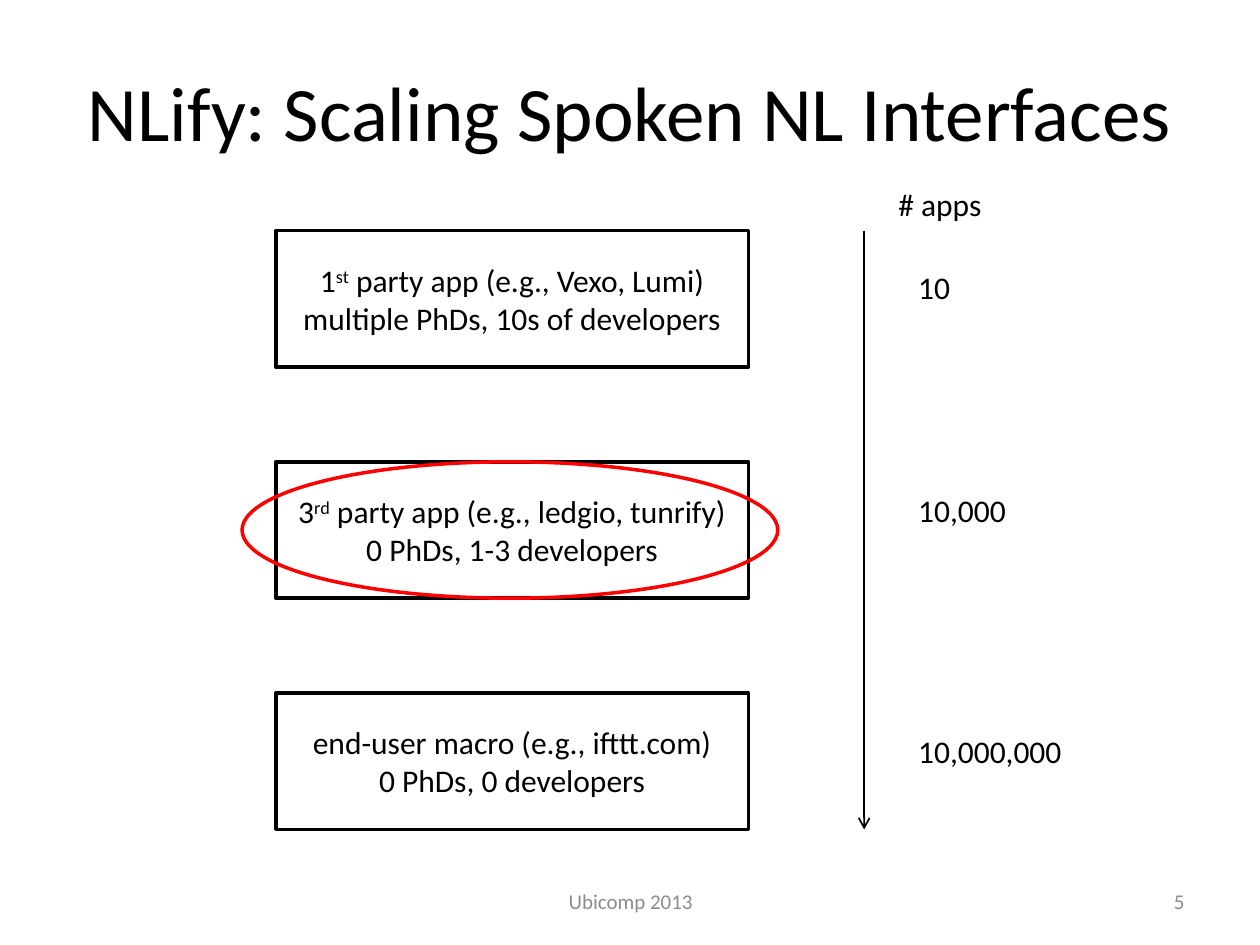
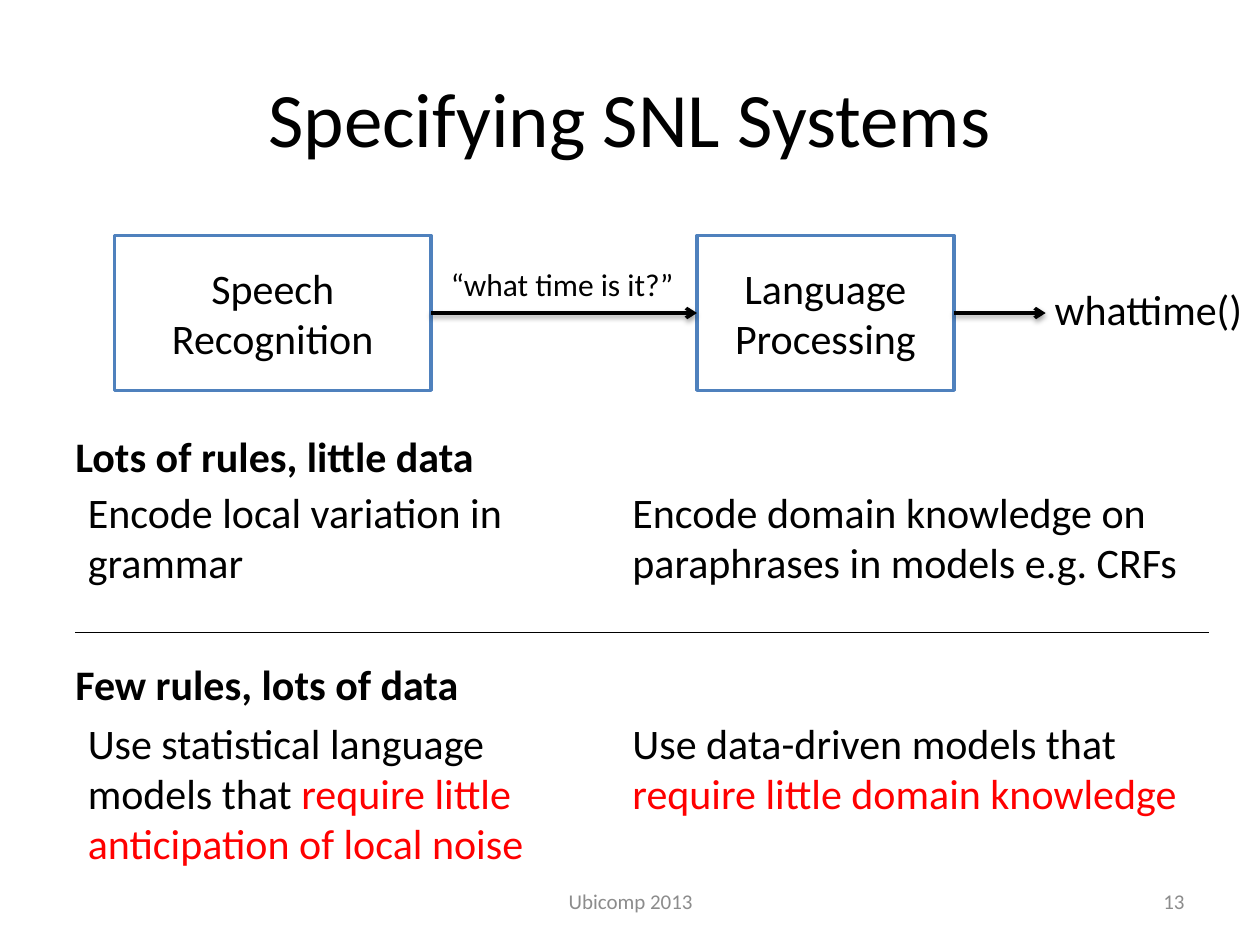
from dataclasses import dataclass

from lxml import etree
from pptx import Presentation
from pptx.dml.color import RGBColor
from pptx.enum.shapes import MSO_CONNECTOR, MSO_SHAPE
from pptx.enum.text import MSO_ANCHOR, MSO_AUTO_SIZE, PP_ALIGN
from pptx.oxml.ns import qn
from pptx.util import Cm, Pt

LEFT, CENTER, RIGHT = PP_ALIGN.LEFT, PP_ALIGN.CENTER, PP_ALIGN.RIGHT
TOP, MIDDLE = MSO_ANCHOR.TOP, MSO_ANCHOR.MIDDLE
RECT, OVAL = MSO_SHAPE.RECTANGLE, MSO_SHAPE.OVAL
STRAIGHT = MSO_CONNECTOR.STRAIGHT
GROW = MSO_AUTO_SIZE.SHAPE_TO_FIT_TEXT

FONT = "Calibri"
BLACK, WHITE, RED, BLUE, GRAY = "000000", "FFFFFF", "FF0000", "4F81BD", "8C8C8C"
FOOTER = "Ubicomp 2013"


@dataclass
class Run:
    text: str
    color: str = ""
    superscript: bool = False


@dataclass
class Style:
    size: int
    color: str = BLACK
    bold: bool = False
    align: PP_ALIGN = LEFT
    anchor: MSO_ANCHOR = TOP


@dataclass
class Box:
    """Position and size in centimetres."""
    left: float
    top: float
    width: float
    height: float

    def lengths(self) -> list[Cm]:
        return [Cm(v) for v in (self.left, self.top, self.width, self.height)]


@dataclass
class Tier:
    """One kind of app, with the number of such apps beside it."""
    lines: list[list[Run]]
    count: str
    count_top: float
    count_width: float


@dataclass
class Approach:
    """A heading with one column of text per processing stage."""
    heading: str
    heading_top: float
    heading_width: float
    body_top: float
    body_height: float
    columns: list[list[Run]]


TITLE = Style(44, align=CENTER, anchor=MIDDLE)
FOOTER_STYLE = Style(12, GRAY, align=CENTER, anchor=MIDDLE)
NUMBER_STYLE = Style(12, GRAY, align=RIGHT, anchor=MIDDLE)
TIER_STYLE = Style(18, align=CENTER, anchor=MIDDLE)
STAGE_STYLE = Style(24, align=CENTER, anchor=MIDDLE)
LABEL = Style(18)
QUOTE = Style(18, align=CENTER)
BODY = Style(24)
HEADING = Style(24, bold=True)

TIERS = [
    Tier([[Run("1"), Run("st", superscript=True), Run(" party app (e.g., Vexo, Lumi)")],
          [Run("multiple PhDs, 10s of developers")]], "10", 5.28, 1.17),
    Tier([[Run("3"), Run("rd", superscript=True), Run(" party app (e.g., ledgio, tunrify)")],
          [Run("0 PhDs, 1-3 developers")]], "10,000", 9.78, 2.44),
    Tier([[Run("end-user macro (e.g., ifttt.com)")],
          [Run("0 PhDs, 0 developers")]], "10,000,000", 14.63, 3.43),
]

APPROACHES = [
    Approach("Lots of rules, little data", 8.56, 8.66, 9.68, 2.31, [
        [Run("Encode local variation in grammar")],
        [Run("Encode domain knowledge on paraphrases in models e.g. CRFs")]]),
    Approach("Few rules, lots of data", 13.16, 8.33, 14.33, 3.33, [
        [Run("Use statistical language models that "),
         Run("require little anticipation of local noise", RED)],
        [Run("Use data-driven models that "),
         Run("require little domain knowledge", RED)]]),
]


def rgb(color: str) -> RGBColor:
    return RGBColor.from_string(color)


def write(tf, lines: list[list[Run]], style: Style) -> None:
    tf.vertical_anchor = style.anchor
    for i, runs in enumerate(lines):
        p = tf.add_paragraph() if i else tf.paragraphs[0]
        p.alignment = style.align
        for run in runs:
            r = p.add_run()
            r.text = run.text
            r.font.name, r.font.size, r.font.bold = FONT, Pt(style.size), style.bold
            r.font.color.rgb = rgb(run.color or style.color)
            if run.superscript:
                r.font._element.set("baseline", "30000")


def add_text(s, box: Box, runs: list[Run], style: Style,
             wrap: bool = True, grow: bool = False) -> None:
    tf = s.shapes.add_textbox(*box.lengths()).text_frame
    tf.word_wrap = wrap
    if grow:
        tf.auto_size = GROW
    write(tf, [runs], style)


def add_label(s, box: Box, text: str, style: Style) -> None:
    add_text(s, box, [Run(text)], style, wrap=False, grow=True)


def add_outlined(s, kind: MSO_SHAPE, box: Box, line: str, fill: str = ""):
    sp = s.shapes.add_shape(kind, *box.lengths())
    sp.shadow.inherit = False
    sp.line.color.rgb = rgb(line)
    sp.line.width = Pt(2)
    if fill:
        sp.fill.solid()
        sp.fill.fore_color.rgb = rgb(fill)
    else:
        sp.fill.background()
    return sp


def add_line(s, x1: float, y1: float, x2: float, y2: float, width: float,
             arrow: bool = False, shadow: bool = False) -> None:
    line = s.shapes.add_connector(STRAIGHT, Cm(x1), Cm(y1), Cm(x2), Cm(y2))
    line.line.color.rgb = rgb(BLACK)
    line.line.width = Pt(width)
    if arrow:
        etree.SubElement(line.line._get_or_add_ln(), qn("a:tailEnd"), type="arrow")
    effects = etree.SubElement(line._element.spPr, qn("a:effectLst"))
    if shadow:
        outer = etree.SubElement(effects, qn("a:outerShdw"), blurRad=str(Pt(3.1)),
                                 dist=str(Pt(1.6)), dir="5400000", rotWithShape="0")
        tint = etree.SubElement(outer, qn("a:srgbClr"), val=BLACK)
        etree.SubElement(tint, qn("a:alpha"), val="38000")


def add_slide(prs, title: str, title_top: float, number: int):
    s = prs.slides.add_slide(prs.slide_layouts[6])
    add_text(s, Box(1.27, title_top, 22.86, 3.18), [Run(title)], TITLE)
    add_text(s, Box(8.69, 17.65, 8.05, 1.02), [Run(FOOTER)], FOOTER_STYLE)
    add_text(s, Box(18.21, 17.65, 5.92, 1.02), [Run(str(number))], NUMBER_STYLE)
    return s


def build_scaling(prs) -> None:
    s = add_slide(prs, "NLify: Scaling Spoken NL Interfaces", 0.64, 5)
    first_top, step, height = 4.65, 4.66, 2.75

    # App tiers and their counts
    for i, tier in enumerate(TIERS):
        box = Box(5.56, first_top + i * step, 9.53, height)
        write(add_outlined(s, RECT, box, BLACK).text_frame, tier.lines, TIER_STYLE)
        add_label(s, Box(18.26, tier.count_top, tier.count_width, 1.02), tier.count, LABEL)

    # Scale arrow
    bottom = first_top + 2 * step + height
    add_line(s, 17.42, first_top, 17.42, bottom, 1, arrow=True)
    add_label(s, Box(17.86, 3.61, 2.21, 1.02), "# apps", LABEL)

    # Highlight on the middle tier
    add_outlined(s, OVAL, Box(4.88, first_top + step, 10.8, height), RED)


def build_specifying(prs) -> None:
    s = add_slide(prs, "Specifying SNL Systems", 0.76, 13)

    # Processing pipeline
    speech = Box(2.31, 4.75, 6.38, 3.12)
    language = Box(14.05, 4.75, 5.18, 3.12)
    for box, lines in ((speech, ["Speech Recognition"]),
                       (language, ["Language", "Processing"])):
        sp = add_outlined(s, RECT, box, BLUE, WHITE)
        write(sp.text_frame, [[Run(line)] for line in lines], STAGE_STYLE)
    middle = speech.top + speech.height / 2
    for start, end in ((speech.left + speech.width, language.left),
                       (language.left + language.width, 21.08)):
        add_line(s, start, middle, end, middle, 2, arrow=True, shadow=True)
    add_label(s, Box(21.01, 5.59, 4.5, 1.27), "whattime()", BODY)
    add_label(s, Box(8.81, 5.21, 5.05, 1.02), "“what time is it?”", QUOTE)

    # Two approaches, divided by a rule
    for a in APPROACHES:
        add_label(s, Box(1.27, a.heading_top, a.heading_width, 1.27), a.heading, HEADING)
        for (left, width), runs in zip(((1.52, 9.8), (12.5, 11.63)), a.columns):
            add_text(s, Box(left, a.body_top, width, a.body_height), runs, BODY, grow=True)
    add_line(s, 1.52, 12.75, 24.38, 12.75, 0.75)


def main() -> None:
    prs = Presentation()
    prs.slide_width, prs.slide_height = Cm(25.4), Cm(19.05)
    build_scaling(prs)
    build_specifying(prs)
    prs.save("out.pptx")


if __name__ == "__main__":
    main()
